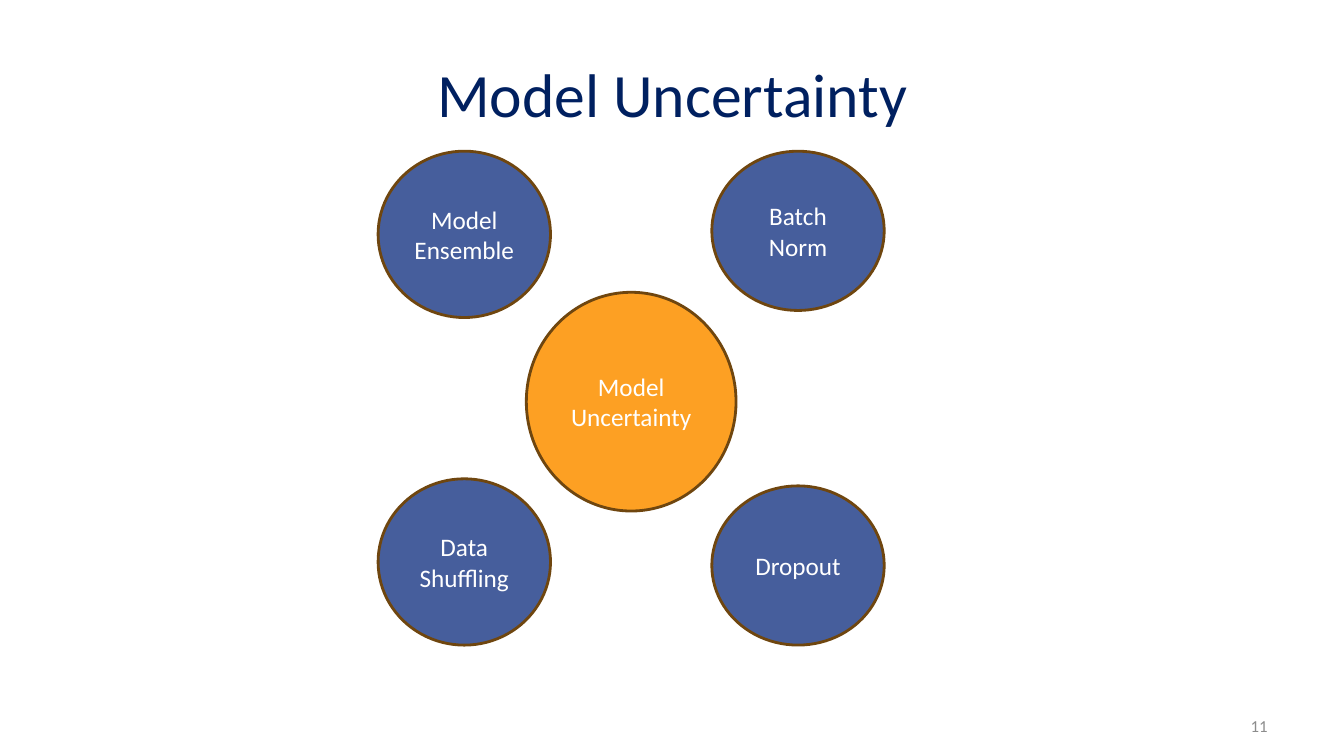
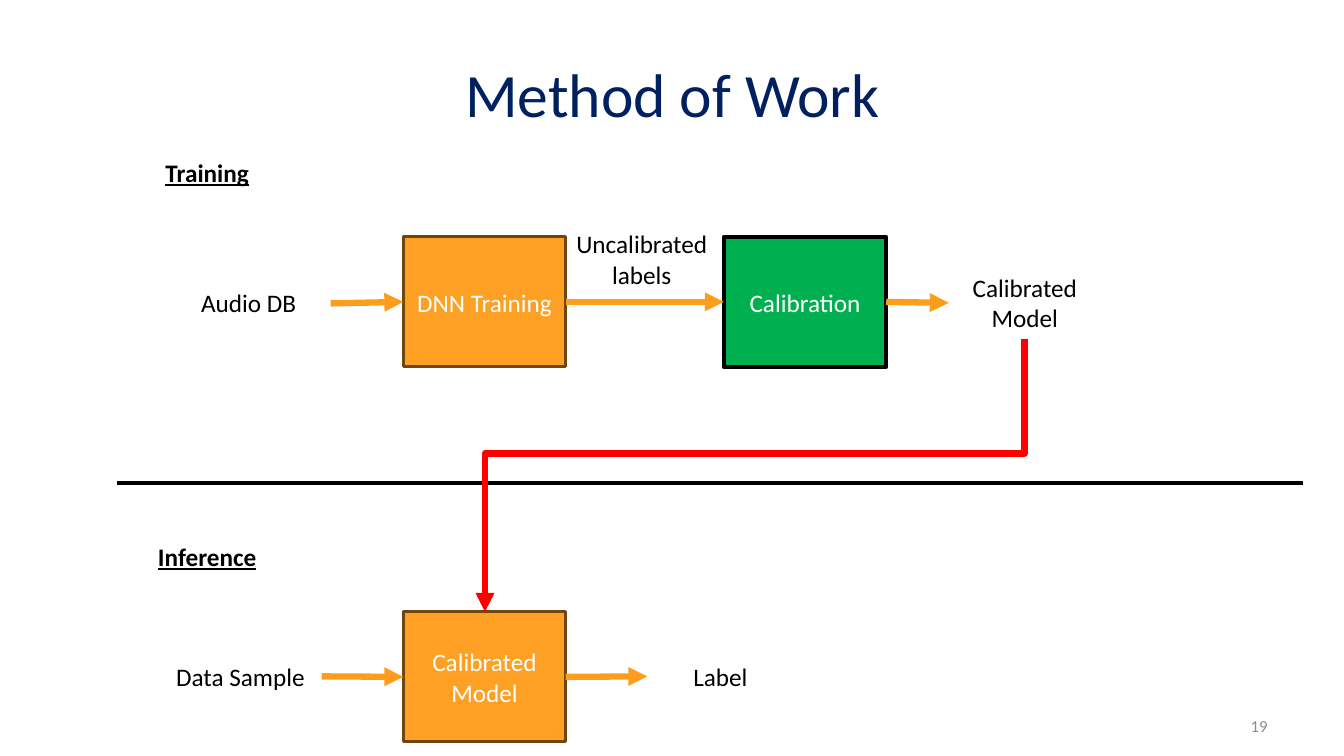
from pptx import Presentation
from pptx.dml.color import RGBColor
from pptx.enum.shapes import MSO_CONNECTOR, MSO_SHAPE
from pptx.enum.text import MSO_ANCHOR, PP_ALIGN
from pptx.oxml.ns import qn
from pptx.util import Inches, Pt
from lxml import etree

OVAL, RECT = MSO_SHAPE.OVAL, MSO_SHAPE.RECTANGLE
STRAIGHT, ELBOW = MSO_CONNECTOR.STRAIGHT, MSO_CONNECTOR.ELBOW
MIDDLE, TOP = MSO_ANCHOR.MIDDLE, MSO_ANCHOR.TOP
CENTER, RIGHT = PP_ALIGN.CENTER, PP_ALIGN.RIGHT
LEFT_SIDE, RIGHT_SIDE = 1, 3
TITLE_ONLY = 5

FONT = "Calibri"
COLORS = {
    "title": "002060",
    "number": "8C8C8C",
    "orange": "FDA023",
    "brown": "6F460F",
    "blue": "465E9C",
    "green": "00B050",
    "arrow": "FD9D1D",
    "red": "FF0000",
    "black": "000000",
    "white": "FFFFFF",
}


def rgb(name):
    return RGBColor.from_string(COLORS[name])


def place(sp, box):
    sp.left, sp.top, sp.width, sp.height = (Inches(v) for v in box)


def set_text(sp, text, size, color, align=CENTER, anchor=MIDDLE):
    tf = sp.text_frame
    tf.word_wrap = True
    tf.vertical_anchor = anchor
    p = tf.paragraphs[0]
    p.text = text
    p.alignment = align
    p.font.name = FONT
    p.font.size = Pt(size)
    p.font.color.rgb = rgb(color)
    return p


def add_label(s, box, text, size=18, color="black", align=CENTER, anchor=TOP):
    sp = s.shapes.add_textbox(*(Inches(v) for v in box))
    set_text(sp, text, size, color, align, anchor)
    return sp


def add_heading(s, x, y, text):
    p = add_label(s, (x, y, 1.45, 0.4), text).text_frame.paragraphs[0]
    p.font.bold = True
    p.font.underline = True


def add_node(s, kind, box, text, fill, line="brown", width=2):
    sp = s.shapes.add_shape(kind, *(Inches(v) for v in box))
    sp.shadow.inherit = False
    sp.fill.solid()
    sp.fill.fore_color.rgb = rgb(fill)
    sp.line.color.rgb = rgb(line)
    sp.line.width = Pt(width)
    set_text(sp, text, 18, "white")
    return sp


def add_line(s, kind, begin, end, color, width, head=True):
    points = [Inches(v) for v in (*begin, *end)]
    line = s.shapes.add_connector(kind, *points)
    line.line.color.rgb = rgb(color)
    line.line.width = Pt(width)
    if head:
        etree.SubElement(line.line._get_or_add_ln(), qn("a:tailEnd"), type="triangle")
    etree.SubElement(line._element.spPr, qn("a:effectLst"))
    return line


def add_arrow(s, begin, end):
    begin_at = begin if isinstance(begin, tuple) else (0, 0)
    end_at = end if isinstance(end, tuple) else (0, 0)
    line = add_line(s, STRAIGHT, begin_at, end_at, "arrow", 4.5)
    if begin is not begin_at:
        line.begin_connect(begin, RIGHT_SIDE)
    if end is not end_at:
        line.end_connect(end, LEFT_SIDE)


def add_down_elbow(s, begin, end, bend):
    (x1, y1), (x2, y2) = begin, end
    cx, cy = (x1 + x2) / 2, (y1 + y2) / 2
    half_w, half_h = (y2 - y1) / 2, (x1 - x2) / 2
    line = add_line(s, ELBOW, (cx - half_w, cy - half_h),
                    (cx + half_w, cy + half_h), "red", 4.5)
    spPr = line._element.spPr
    spPr.find(qn("a:xfrm")).set("rot", "5400000")
    geom = spPr.find(qn("a:prstGeom"))
    guides = geom.find(qn("a:avLst"))
    if guides is None:
        guides = etree.SubElement(geom, qn("a:avLst"))
    etree.SubElement(guides, qn("a:gd"), name="adj1", fmla=f"val {round(bend * 100000)}")


def add_slide(prs, title, number):
    s = prs.slides.add_slide(prs.slide_layouts[TITLE_ONLY])
    place(s.shapes.title, (0.67, 0.3, 12, 1.25))
    set_text(s.shapes.title, title, 44, "title")
    add_label(s, (9.56, 7, 3.11, 0.4), number, 12, "number", RIGHT, MIDDLE)
    return s


def add_uncertainty_cluster(s, x, y, w, h):
    hub_w, hub_h, node_w = 2.08, 2.17, 1.71
    add_node(s, OVAL, (x + (w - hub_w) / 2, y + 1.4, hub_w, hub_h),
             "Model Uncertainty", "orange")
    columns = [
        (x, 1.65, ("Model Ensemble", "Data Shuffling")),
        (x + w - node_w, 1.58, ("Batch Norm", "Dropout")),
    ]
    for left, node_h, names in columns:
        for top, name in zip((y, y + h - node_h), names):
            add_node(s, OVAL, (left, top, node_w, node_h), name, "blue")


def add_training(s, x, y):
    add_heading(s, x, y, "Training")
    add_label(s, (x + 0.41, y + 1.29, 1.45, 0.4), "Audio DB")
    dnn = add_node(s, RECT, (x + 2.67, y + 0.84, 1.61, 1.29), "DNN Training", "orange")
    calibration = add_node(s, RECT, (x + 5.85, y + 0.84, 1.61, 1.29),
                           "Calibration", "green", "black", 3)
    add_label(s, (x + 4.28, y + 0.71, 1.51, 0.71), "Uncalibrated labels")
    model = add_label(s, (x + 8.08, y + 1.14, 1.51, 0.71), "Calibrated Model")
    add_arrow(s, (x + 1.95, y + 1.5), dnn)
    add_arrow(s, dnn, calibration)
    add_arrow(s, calibration, model)


def add_inference(s, x, y):
    add_heading(s, x, y, "Inference")
    sample = add_label(s, (x + 0.25, y + 1.19, 1.61, 0.4), "Data Sample")
    model = add_node(s, RECT, (x + 2.67, y + 0.75, 1.61, 1.29), "Calibrated Model", "orange")
    label = add_label(s, (x + 5.09, y + 1.19, 1.45, 0.4), "Label")
    add_arrow(s, sample, model)
    add_arrow(s, model, label)


def main():
    prs = Presentation()
    prs.slide_width, prs.slide_height = Inches(13.33), Inches(7.5)

    s = add_slide(prs, "Model Uncertainty", "11")
    add_uncertainty_cluster(s, 3.75, 1.5, 5.02, 4.9)

    s = add_slide(prs, "Method of Work", "19")
    add_training(s, 1.33, 1.51)
    add_line(s, STRAIGHT, (1.16, 4.79), (12.92, 4.79), "black", 3, head=False)
    add_inference(s, 1.33, 5.32)
    add_down_elbow(s, (10.16, 3.36), (4.81, 6.07), 0.42)

    prs.save("out.pptx")


if __name__ == "__main__":
    main()
